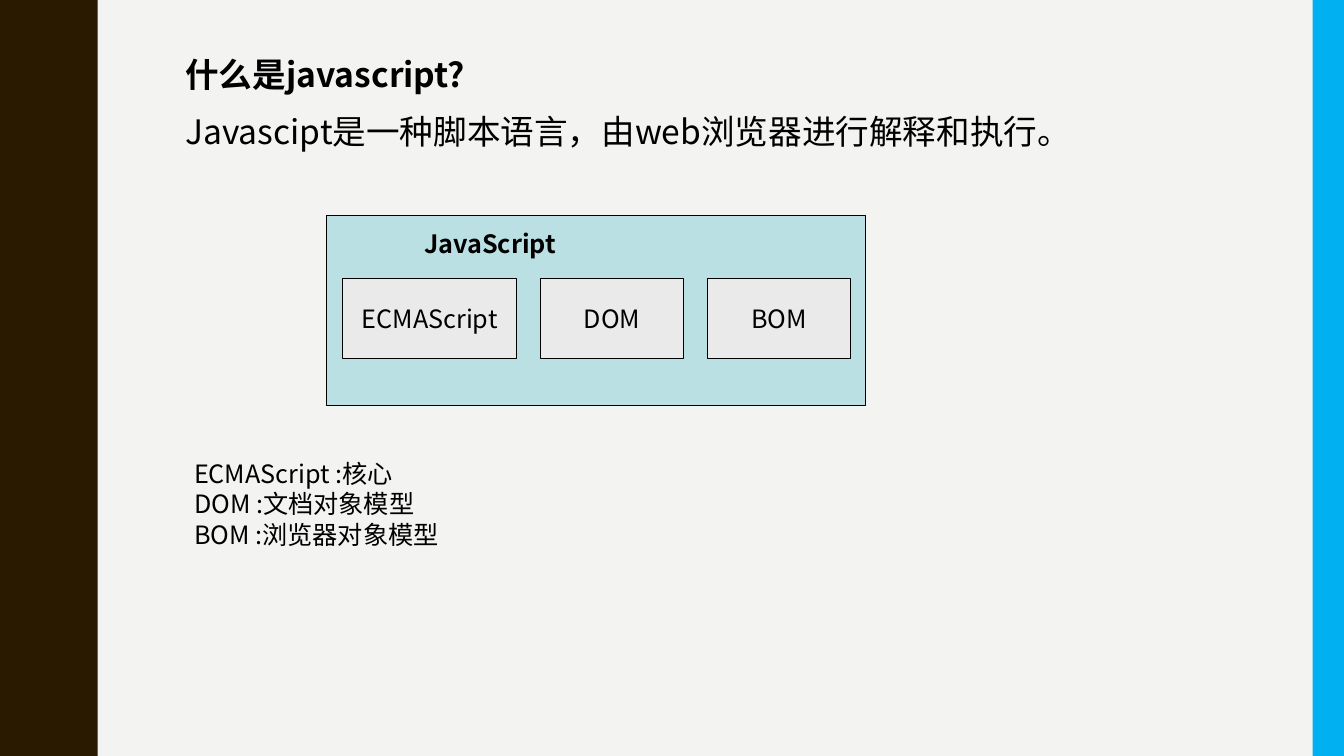
from lxml import etree
from pptx import Presentation
from pptx.dml.color import RGBColor
from pptx.enum.shapes import MSO_SHAPE
from pptx.enum.text import MSO_ANCHOR, PP_ALIGN
from pptx.oxml.ns import qn
from pptx.util import Cm, Pt

RECT = MSO_SHAPE.RECTANGLE
MIDDLE = MSO_ANCHOR.MIDDLE
CENTER = PP_ALIGN.CENTER
FONT = "Noto Sans CJK SC"


def add_box(x, y, w, h, fill, line=None):
    s = slide.shapes.add_shape(RECT, Cm(x), Cm(y), Cm(w), Cm(h))
    s.shadow.inherit = False
    s.fill.solid()
    s.fill.fore_color.rgb = RGBColor.from_string(fill)
    if line:
        s.line.color.rgb = RGBColor.from_string(line)
        s.line.width = Pt(0.75)
    else:
        s.line.fill.background()
    return s


def set_text(s, text, size, wrap=True):
    tf = s.text_frame
    tf.word_wrap = wrap
    tf.text = text
    for p in tf.paragraphs:
        for r in p.runs:
            r.font.size = Pt(size)
            r.font.name = FONT
            r.font.color.rgb = RGBColor.from_string("000000")
            ea = etree.SubElement(r.font._element, qn("a:ea"))
            ea.set("typeface", FONT)
    return tf


prs = Presentation()
prs.slide_width = Cm(33.87)
prs.slide_height = Cm(19.05)
slide = prs.slides.add_slide(prs.slide_layouts[6])
slide.background.fill.solid()
slide.background.fill.fore_color.rgb = RGBColor.from_string("F3F3F2")

add_box(0, 0, 2.46, 19.05, "2A1A00")
add_box(33.08, 0, 0.79, 19.05, "00B0F0")

intro = slide.shapes.add_textbox(Cm(4.42), Cm(1.42), Cm(22.86), Cm(9.6))
tf = set_text(
    intro,
    "什么是javascript?\nJavascipt是一种脚本语言，由web浏览器进行解释和执行。",
    24,
)
for p in tf.paragraphs:
    p.line_spacing = 0.8
heading, definition = tf.paragraphs
heading.runs[0].font.bold = True
definition.space_before = Pt(18)

add_box(8.22, 5.43, 13.6, 4.8, "BBE0E3", "000000")
for name, x, w in [
    ("ECMAScript", 8.63, 4.4),
    ("DOM", 13.63, 3.6),
    ("BOM", 17.83, 3.6),
]:
    part = add_box(x, 7.03, w, 2, "EAEAEA", "000000")
    tf = set_text(part, name, 18, wrap=False)
    tf.vertical_anchor = MIDDLE
    tf.paragraphs[0].alignment = CENTER

title = slide.shapes.add_textbox(Cm(10.44), Cm(5.63), Cm(4.2), Cm(1.02))
tf = set_text(title, "JavaScript", 18)
tf.paragraphs[0].runs[0].font.bold = True

legend = slide.shapes.add_textbox(Cm(4.64), Cm(11.43), Cm(11.4), Cm(3.33))
set_text(legend, "ECMAScript :核心\nDOM :文档对象模型\nBOM :浏览器对象模型", 18)

prs.save("out.pptx")
